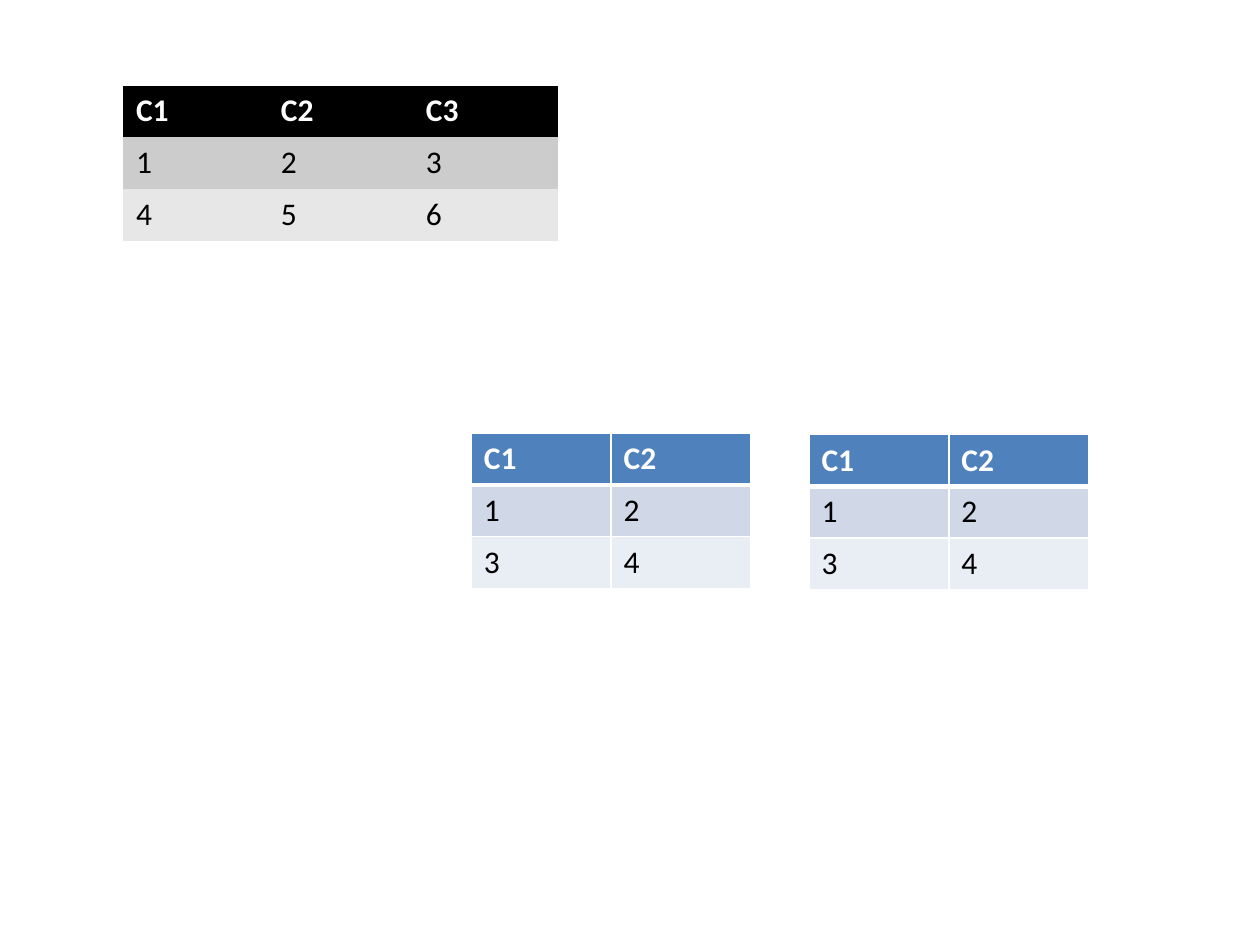
from dataclasses import dataclass

from lxml.etree import SubElement
from pptx import Presentation
from pptx.dml.color import RGBColor as Rgb
from pptx.oxml.ns import qn
from pptx.util import Inches, Pt


@dataclass(frozen=True)
class Theme:
    font: str = "Calibri"
    size: int = 18
    header_text: str = "FFFFFF"
    body_text: str = "000000"
    grid: str = "FFFFFF"
    grid_width: int = 1
    header_rule_width: int = 3
    blue_rows: tuple = ("4F81BD", "D0D8E8", "E9EDF4")
    gray_rows: tuple = ("000000", "CCCCCC", "E7E7E7")
    plain_style: str = "{2D5ABB26-0587-4C30-8999-92F81FD0307C}"


THEME = Theme()
ROW_HEIGHT = 0.41


def add_border(cell, side, width):
    line = SubElement(cell._tc.get_or_add_tcPr(), qn(f"a:ln{side}"), w=str(Pt(width)))
    solid = SubElement(line, qn("a:solidFill"))
    SubElement(solid, qn("a:srgbClr"), val=THEME.grid)


def add_grid(cell, row):
    thin, thick = THEME.grid_width, THEME.header_rule_width
    add_border(cell, "L", thin)
    add_border(cell, "R", thin)
    add_border(cell, "T", thick if row == 1 else thin)
    add_border(cell, "B", thick if row == 0 else thin)


def fill_cell(cell, value, color, is_header):
    cell.fill.solid()
    cell.fill.fore_color.rgb = Rgb.from_string(color)
    cell.text_frame.text = value
    font = cell.text_frame.paragraphs[0].runs[0].font
    font.name = THEME.font
    font.size = Pt(THEME.size)
    font.bold = is_header
    font.color.rgb = Rgb.from_string(THEME.header_text if is_header else THEME.body_text)


def add_number_table(slide, left, top, column_width, rows, colors, has_grid):
    columns = len(rows[0])
    frame = slide.shapes.add_table(
        len(rows), columns, Inches(left), Inches(top),
        Inches(column_width * columns), Inches(ROW_HEIGHT * len(rows)))
    table = frame.table
    table._tbl.tblPr.find(qn("a:tableStyleId")).text = THEME.plain_style
    for column in table.columns:
        column.width = Inches(column_width)
    for r, (values, color) in enumerate(zip(rows, colors)):
        table.rows[r].height = Inches(ROW_HEIGHT)
        for c, value in enumerate(values):
            cell = table.cell(r, c)
            if has_grid:
                add_grid(cell, r)
            fill_cell(cell, value, color, r == 0)


def main():
    deck = Presentation()
    deck.slide_width, deck.slide_height = Inches(10), Inches(7.5)
    slide = deck.slides.add_slide(deck.slide_layouts[6])
    two_columns = [("C1", "C2"), ("1", "2"), ("3", "4")]
    three_columns = [("C1", "C2", "C3"), ("1", "2", "3"), ("4", "5", "6")]
    add_number_table(slide, 3.74, 3.44, 1.11, two_columns, THEME.blue_rows, True)
    add_number_table(slide, 0.98, 0.68, 1.15, three_columns, THEME.gray_rows, False)
    add_number_table(slide, 6.42, 3.45, 1.11, two_columns, THEME.blue_rows, True)
    deck.save("out.pptx")


if __name__ == "__main__":
    main()
